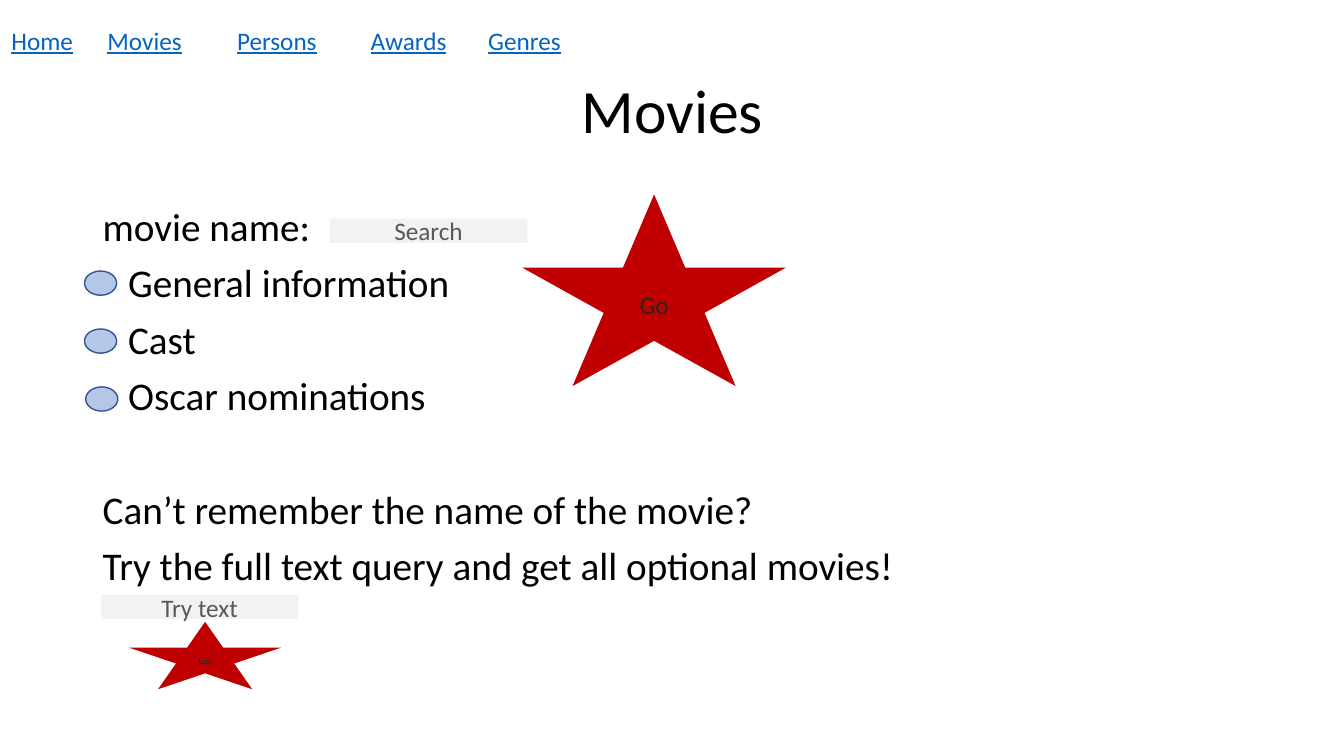
from lxml import etree
from pptx import Presentation
from pptx.dml.color import RGBColor
from pptx.enum.shapes import MSO_SHAPE
from pptx.enum.text import MSO_ANCHOR, MSO_AUTO_SIZE, PP_ALIGN
from pptx.oxml.ns import qn
from pptx.util import Cm, Pt

COLORS = {
    "text": "000000",
    "link": "0563C1",
    "field": "F2F2F2",
    "field_text": "595959",
    "option": "B4C7E7",
    "option_line": "325491",
    "star": "C00000",
    "star_text": "262626",
}
LINE_SPACING = 0.9
PARAGRAPH_GAP = 10
SECTION_GAP = 50.8


class SlideBuilder:
    """Holds the style and the current slide."""

    def __init__(self, presentation, font_name):
        self.font_name = font_name
        self.slide = presentation.slides.add_slide(presentation.slide_layouts[5])

    def set_text(self, paragraph, text, size, color, align, **font_values):
        paragraph.text = text
        paragraph.alignment = align
        values = {"name": self.font_name, "size": Pt(size), **font_values}
        for name, value in values.items():
            setattr(paragraph.font, name, value)
        paragraph.font.color.rgb = RGBColor.from_string(COLORS[color])

    def title(self, text, *box):
        shape = self.slide.shapes.title
        for name, value in zip(("left", "top", "width", "height"), box):
            setattr(shape, name, Cm(value))
        frame = shape.text_frame
        frame.auto_size = MSO_AUTO_SIZE.NONE
        frame.vertical_anchor = MSO_ANCHOR.MIDDLE
        self.set_text(frame.paragraphs[0], text, 44, "text", PP_ALIGN.CENTER)
        frame.paragraphs[0].line_spacing = LINE_SPACING

    def text_frame(self, *box):
        shape = self.slide.shapes.add_textbox(*map(Cm, box))
        shape.text_frame.word_wrap = True
        return shape.text_frame

    def link(self, text, *box):
        paragraph = self.text_frame(*box).paragraphs[0]
        self.set_text(paragraph, text, 18, "link", PP_ALIGN.RIGHT, underline=True)

    def body(self, lines, *box):
        frame = self.text_frame(*box)
        for index, (text, bulleted, gap) in enumerate(lines):
            paragraph = frame.add_paragraph() if index else frame.paragraphs[0]
            if bulleted:
                properties = paragraph._p.get_or_add_pPr()
                properties.set("marL", str(Cm(0.64)))
                properties.set("indent", str(Cm(-0.64)))
                etree.SubElement(properties, qn("a:buFont"), typeface="Arial")
                etree.SubElement(properties, qn("a:buChar"), char="•")
            self.set_text(paragraph, text, 28, "text", PP_ALIGN.LEFT)
            paragraph.line_spacing = LINE_SPACING
            paragraph.space_before = Pt(gap)

    def shape(self, kind, fill, *box, line=None):
        shape = self.slide.shapes.add_shape(kind, *map(Cm, box))
        shape.shadow.inherit = False
        shape.fill.solid()
        shape.fill.fore_color.rgb = RGBColor.from_string(COLORS[fill])
        if line:
            shape.line.color.rgb = RGBColor.from_string(COLORS[line])
            shape.line.width = Pt(1)
        else:
            shape.line.fill.background()
        return shape

    def label(self, shape, text, size, color):
        shape.text_frame.vertical_anchor = MSO_ANCHOR.MIDDLE
        self.set_text(shape.text_frame.paragraphs[0], text, size, color, PP_ALIGN.CENTER)

    def field(self, text, left, top):
        shape = self.shape(MSO_SHAPE.RECTANGLE, "field", left, top, 4.98, 0.61)
        self.label(shape, text, 18, "field_text")

    def option(self, left, top):
        self.shape(MSO_SHAPE.OVAL, "option", left, top, 0.81, 0.61, line="option_line")

    def go_star(self, size, *box):
        shape = self.shape(MSO_SHAPE.STAR_5_POINT, "star", *box)
        self.label(shape, "Go", size, "star_text")


def main():
    presentation = Presentation()
    presentation.slide_width = Cm(33.87)
    presentation.slide_height = Cm(19.05)
    builder = SlideBuilder(presentation, "Calibri")

    # Heading and page text
    builder.title("Movies", 2.34, 1.02, 29.21, 3.68)
    builder.body(
        [
            ("movie name:", False, 0),
            ("General information", True, PARAGRAPH_GAP),
            ("Cast", True, PARAGRAPH_GAP),
            ("Oscar nominations", True, PARAGRAPH_GAP),
            ("Can’t remember the name of the movie?", False, SECTION_GAP),
            ("Try the full text query and get all optional movies!", False, PARAGRAPH_GAP),
        ],
        2.34, 5.11, 29.21, 12.09,
    )

    # Search by name, with one option button per bullet
    builder.field("Search", 8.31, 5.51)
    for row, left in enumerate((2.13, 2.13, 2.16)):
        builder.option(left, 6.83 + 1.46 * row)
    builder.go_star(18, 13.16, 4.9, 6.65, 4.83)

    # Navigation links
    for text, left, width in (
        ("Home", -0.2, 2.29),
        ("Movies", 1.78, 3.05),
        ("Persons", 5.18, 3.05),
        ("Awards", 8.66, 2.84),
        ("Genres", 11.94, 2.44),
    ):
        builder.link(text, left, 0.51, width, 1.02)

    # Full text search
    builder.field("Try text", 2.54, 14.99)
    builder.go_star(8, 3.25, 15.67, 3.84, 1.7)

    presentation.save("out.pptx")


if __name__ == "__main__":
    main()
